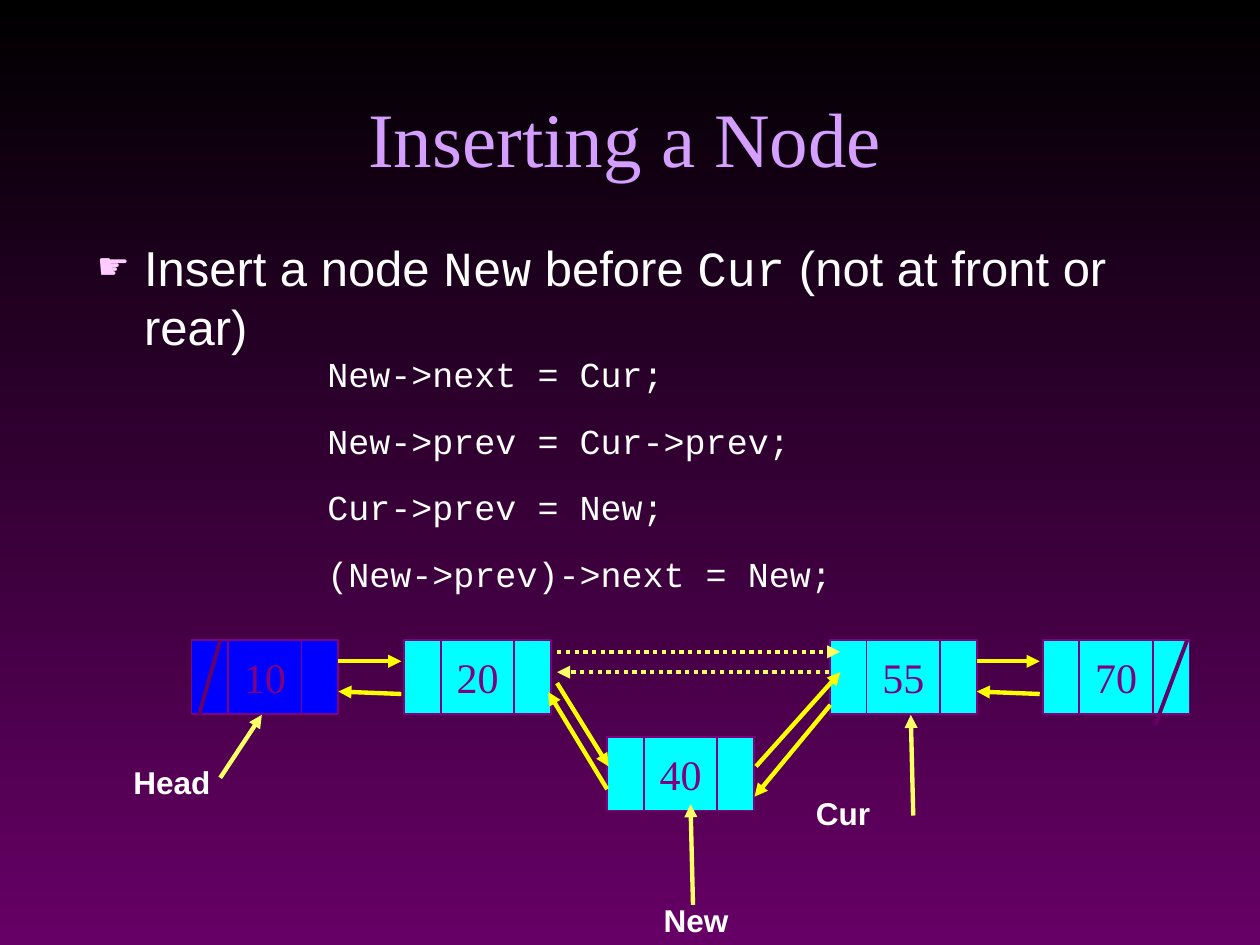
import pptx
import pptx.dml.color
import pptx.enum.dml
import pptx.enum.shapes
import pptx.enum.text
import pptx.oxml.ns
import pptx.util
from lxml import etree

Cm = pptx.util.Cm
RGBColor = pptx.dml.color.RGBColor
Align = pptx.enum.text.PP_ALIGN
Anchor = pptx.enum.text.MSO_ANCHOR
AutoSize = pptx.enum.text.MSO_AUTO_SIZE
qn = pptx.oxml.ns.qn

BLACK = RGBColor(0x00, 0x00, 0x00)
WHITE = RGBColor(0xFF, 0xFF, 0xFF)
PLUM = RGBColor(0x66, 0x00, 0x66)
PURPLE = RGBColor(0x80, 0x00, 0x80)
LILAC = RGBColor(0xD4, 0x9F, 0xFF)
PINK = RGBColor(0xFF, 0xCC, 0xFF)
BLUE = RGBColor(0x00, 0x00, 0xFF)
CYAN = RGBColor(0x00, 0xFF, 0xFF)
YELLOW = RGBColor(0xFF, 0xFF, 0x00)
PALE_YELLOW = RGBColor(0xFF, 0xFF, 0x66)

SERIF, SANS, MONO = "Times New Roman", "Arial", "Courier New"
CELL = 1.48
POINTER = CELL / 2
NODE_PITCH = 4.29
NEW_LEFT, NEW_TOP = 8.38, 1.95


def add_span(para, text, *, size, font=SANS, color=WHITE, bold=False):
    """Append formatted text to a paragraph."""
    span = para.add_run()
    span.text = text
    span.font.size = pptx.util.Pt(size)
    span.font.name = font
    span.font.bold = bold
    span.font.color.rgb = color


def add_bullet(para, char, color, percent):
    """Give a paragraph a hanging, coloured bullet."""
    properties = para._p.get_or_add_pPr()
    properties.set("marL", str(Cm(0.95)))
    properties.set("indent", str(-Cm(0.95)))
    tint = etree.SubElement(properties, qn("a:buClr"))
    etree.SubElement(tint, qn("a:srgbClr"), val=str(color))
    etree.SubElement(properties, qn("a:buSzPct"), val=str(percent * 1000))
    etree.SubElement(properties, qn("a:buChar"), char=char)


def add_text_box(page, left, top, width, height, lines, gap=0, **style):
    """Add a wrapping text box with one paragraph per line."""
    box = page.shapes.add_textbox(Cm(left), Cm(top), Cm(width), Cm(height))
    frame = box.text_frame
    frame.word_wrap = True
    for index, line in enumerate(lines):
        para = frame.paragraphs[0] if index == 0 else frame.add_paragraph()
        if index:
            para.space_before = pptx.util.Pt(gap)
        add_span(para, line, **style)


def add_line(page, start, end, color, width=2.5, arrow=True, dotted=False):
    """Draw a straight line between two points given in centimetres."""
    line = page.shapes.add_connector(
        pptx.enum.shapes.MSO_CONNECTOR.STRAIGHT, *map(Cm, (*start, *end)))
    line.line.color.rgb = color
    line.line.width = pptx.util.Pt(width)
    if dotted:
        line.line.dash_style = pptx.enum.dml.MSO_LINE.ROUND_DOT
    if arrow:
        etree.SubElement(line.line._get_or_add_ln(), qn("a:tailEnd"), type="triangle")
    etree.SubElement(line._element.spPr, qn("a:effectLst"))


def add_node(page, left, top, value, color):
    """Group a value cell between its two pointer cells."""
    group = page.shapes.add_group_shape()
    cells = ((POINTER, CELL, value), (0, POINTER, ""), (POINTER + CELL, POINTER, ""))
    for offset, width, text in cells:
        cell = group.shapes.add_shape(
            pptx.enum.shapes.MSO_SHAPE.RECTANGLE,
            Cm(left + offset), Cm(top), Cm(width), Cm(CELL))
        cell.shadow.inherit = False
        cell.fill.solid()
        cell.fill.fore_color.rgb = color
        cell.line.color.rgb = PURPLE
        cell.line.width = pptx.util.Pt(1)
        if text:
            frame = cell.text_frame
            frame.word_wrap = False
            frame.vertical_anchor = Anchor.MIDDLE
            frame.paragraphs[0].alignment = Align.CENTER
            add_span(frame.paragraphs[0], text, size=24, font=SERIF, color=PURPLE)


def paint_background(page):
    """Fill the page from black at the top to plum at the bottom."""
    fill = page.background.fill
    fill.gradient()
    fill.gradient_angle = 270
    for stop, color, position in zip(fill.gradient_stops, (BLACK, PLUM), (0, 1)):
        stop.color.rgb = color
        stop.position = position


def place(box, left, top, width, height, anchor):
    """Move a placeholder and return its first paragraph."""
    box.left, box.top, box.width, box.height = map(Cm, (left, top, width, height))
    box.text_frame.auto_size = AutoSize.NONE
    box.text_frame.vertical_anchor = anchor
    return box.text_frame.paragraphs[0]


def write_title(page, left, top, width, height):
    """Write the heading in the title placeholder."""
    para = place(page.shapes.title, left, top, width, height, Anchor.BOTTOM)
    para.alignment = Align.CENTER
    add_span(para, "Inserting a Node", size=44, font=SERIF, color=LILAC)


def write_body(page, left, top, width, height):
    """Write the bulleted task in the body placeholder."""
    para = place(page.placeholders[1], left, top, width, height, Anchor.TOP)
    para.space_before = pptx.util.Pt(0)
    add_bullet(para, "☛", PINK, 75)
    for text, font in (("Insert a node ", SANS), ("New", MONO), (" before ", SANS),
                       ("Cur", MONO), (" (not at front or rear)", SANS)):
        add_span(para, text, size=28, font=font)


def write_code(page, left, top, width, height):
    """Write the four pointer assignments."""
    lines = ("New->next = Cur;", "New->prev = Cur->prev;",
             "Cur->prev = New;", "(New->prev)->next = New;")
    add_text_box(page, left, top, width, height, lines, gap=14, size=20, font=MONO)


def draw_list(page, left, top):
    """Draw the linked list, its links and its labelled pointers."""
    def at(point):
        return left + point[0], top + point[1]

    for column, value, color in ((0, "10", BLUE), (1, "20", CYAN),
                                 (3, "55", CYAN), (4, "70", CYAN)):
        add_node(page, left + column * NODE_PITCH, top, value, color)
    add_node(page, left + NEW_LEFT, top + NEW_TOP, "40", CYAN)

    new_links = [((7.37, 0.86), (8.41, 2.54)), ((8.38, 3), (7.19, 1.04)),
                 ((11.38, 2.54), (13.08, 0.64)), ((12.88, 1.3), (11.35, 3.15))]
    kept_links = []
    for column in (0, 3):
        near = column * NODE_PITCH + 2 * CELL
        far = near + 1.27
        kept_links += [((near, 0.42), (far, 0.42)), ((far, 1.08), (near, 1.03))]
    for start, end in kept_links + new_links:
        add_line(page, at(start), at(end), YELLOW)

    for start, end in (((0.58, 0), (0.15, 1.5)), ((20.07, 0), (19.43, 1.7))):
        add_line(page, at(start), at(end), PLUM, width=2.25, arrow=False)

    for text, corner, width, start, end in (
            ("Head", (-1.42, 2.34), 3.96, (0.58, 2.77), (1.42, 1.5)),
            ("New", (9.27, 5.13), 2.54, (10.11, 5.33), (10.06, 3.3)),
            ("Cur", (12.34, 2.97), 3.5, (14.55, 3.53), (14.5, 1.5))):
        add_text_box(page, *at(corner), width, 1.02, [text], size=18, bold=True)
        add_line(page, at(start), at(end), PALE_YELLOW)

    for start, end in (((7.37, 0.23), (13.08, 0.23)), ((12.85, 0.64), (7.37, 0.64))):
        add_line(page, at(start), at(end), PALE_YELLOW, dotted=True)


def main():
    """Build the deck and save it."""
    deck = pptx.Presentation()
    deck.slide_width, deck.slide_height = Cm(25.4), Cm(19.05)
    page = deck.slides.add_slide(deck.slide_layouts[1])
    paint_background(page)
    write_title(page, 1.7, 0.64, 21.8, 3.18)
    write_body(page, 1.7, 4.66, 21.8, 11.43)
    draw_list(page, 3.86, 12.91)
    write_code(page, 6.35, 6.99, 12.7, 4.98)
    deck.save("out.pptx")


if __name__ == "__main__":
    main()
